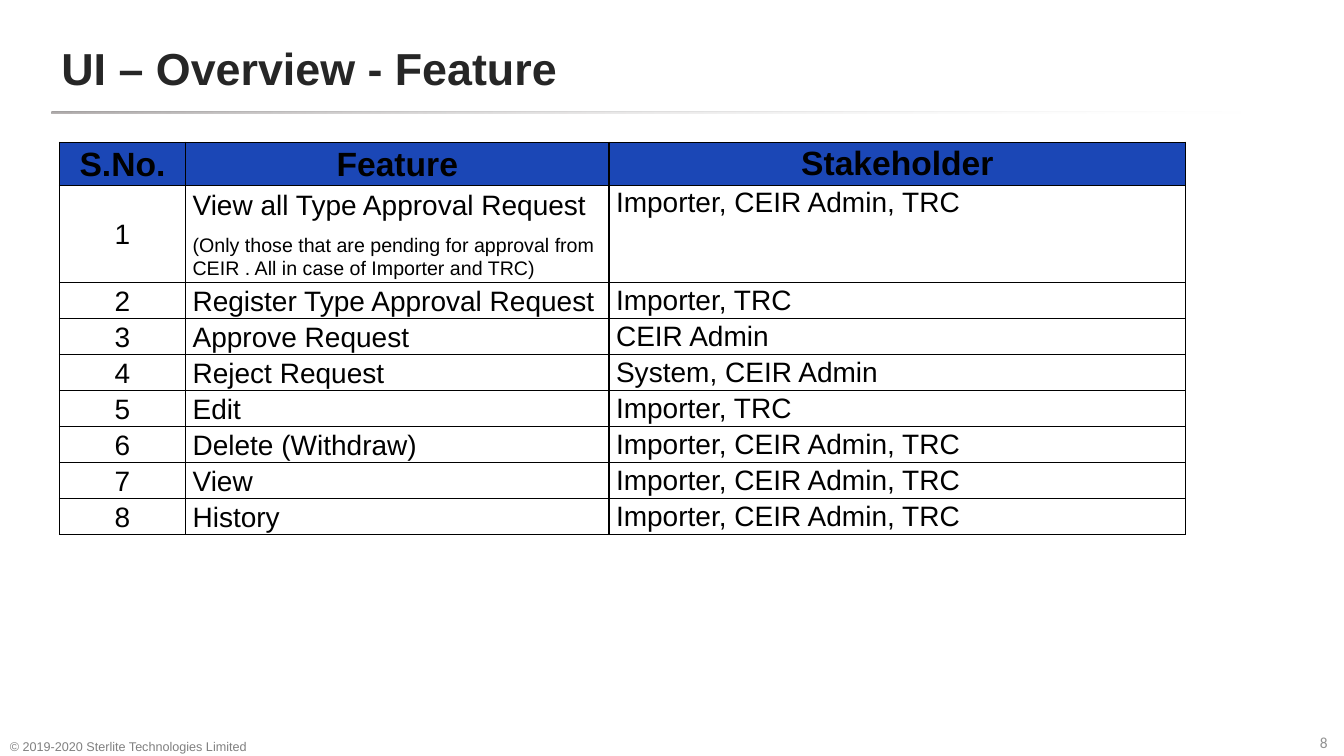
from dataclasses import dataclass

from lxml.etree import SubElement
from pptx import Presentation
from pptx.dml.color import RGBColor
from pptx.enum.shapes import MSO_SHAPE as Shape
from pptx.enum.text import MSO_ANCHOR as Anchor, PP_ALIGN as Align
from pptx.oxml import parse_xml
from pptx.oxml.ns import nsdecls, qn
from pptx.util import Emu, Pt

UNIT = 9144
BLACK = "000000"
BLUE = "1B47B6"
COLS = (125, 420, 572)
HEADS = ("S.No.", "Feature", "Stakeholder")
ALL = "Importer, CEIR Admin, TRC"
NOTE = "(Only those that are pending for approval from CEIR . All in case of Importer and TRC)"


@dataclass
class Label:
    text: str
    box: tuple[int, int, int, int]
    size: int
    color: str
    font: str = "Arial"
    bold: bool = False
    pad: tuple[int, int] = (10, 5)
    anchor: Anchor = Anchor.TOP
    wrap: bool = True


@dataclass
class Task:
    name: str
    users: str
    note: str = ""
    high: int = 33


LABELS = (
    Label("UI – Overview - Feature", (51, 23, 992, 88), 32, "262626",
          bold=True, anchor=Anchor.MIDDLE),
    Label("8", (1304, 722, 27, 25), 11, "929292", font="Calibri",
          pad=(5, 5), wrap=False),
    Label("© 2019-2020 Sterlite Technologies Limited", (0, 722, 303, 31), 9,
          "808080", anchor=Anchor.BOTTOM),
)
TASKS = (
    Task("View all Type Approval Request", ALL, NOTE, 91),
    Task("Register Type Approval Request", "Importer, TRC"),
    Task("Approve Request", "CEIR Admin"),
    Task("Reject Request", "System, CEIR Admin"),
    Task("Edit", "Importer, TRC"),
    Task("Delete (Withdraw)", ALL),
    Task("View", ALL),
    Task("History", ALL),
)


def px(num: int) -> Emu:
    """Turn px into EMU."""
    return Emu(num * UNIT)


def rgb(code: str) -> RGBColor:
    """Turn a hex string into a colour."""
    return RGBColor.from_string(code)


def write(para, text: str, *, size: int, color: str = BLACK, font: str = "Arial",
          bold: bool = False, align: Align = Align.LEFT) -> None:
    """Add formatted text to a paragraph."""
    para.alignment = align
    run = para.add_run()
    run.text = text
    run.font.name = font
    run.font.size = Pt(size)
    run.font.bold = bold
    run.font.color.rgb = rgb(color)


def add_label(slide, label: Label) -> None:
    """Draw one text box."""
    frame = slide.shapes.add_textbox(*map(px, label.box)).text_frame
    frame.word_wrap = label.wrap
    frame.vertical_anchor = label.anchor
    frame.margin_left = frame.margin_right = px(label.pad[0])
    frame.margin_top = frame.margin_bottom = px(label.pad[1])
    write(frame.paragraphs[0], label.text, size=label.size, color=label.color,
          font=label.font, bold=label.bold)


def add_rule(slide) -> None:
    """Draw the fading bar under the title."""
    bar = slide.shapes.add_shape(Shape.ROUNDED_RECTANGLE, *map(px, (51, 111, 1231, 2)))
    bar.adjustments[0] = 0.5
    bar.shadow.inherit = False
    bar.line.fill.background()
    bar.fill.gradient()
    bar.fill.gradient_angle = 0
    start, end = bar.fill.gradient_stops
    start.color.rgb = rgb("AFABAB")
    end.color.rgb = rgb("FFFFFF")
    end.position = 0.96
    clear = bar._element.xpath(".//a:gs[2]/a:srgbClr")[0]
    SubElement(clear, qn("a:alpha"), val="0")


def edge(cell) -> None:
    """Give a cell its four black borders."""
    props = cell._tc.get_or_add_tcPr()
    for side in ("lnL", "lnR", "lnT", "lnB"):
        props.append(parse_xml(
            f'<a:{side} {nsdecls("a")} w="12700"><a:solidFill>'
            f'<a:srgbClr val="{BLACK}"/></a:solidFill></a:{side}>'))


def fill_cell(cell, col: int, texts: list[tuple[str, int]], head: bool = False) -> None:
    """Set the format and the paragraphs of a cell."""
    edge(cell)
    if head:
        cell.fill.solid()
        cell.fill.fore_color.rgb = rgb(BLUE)
    else:
        cell.fill.background()
    cell.margin_left = cell.margin_right = px(7)
    cell.margin_top = cell.margin_bottom = 0
    cell.vertical_anchor = Anchor.TOP if col == 2 else Anchor.MIDDLE
    align = Align.CENTER if head or col == 0 else Align.LEFT
    frame = cell.text_frame
    for num, (text, size) in enumerate(texts):
        para = frame.add_paragraph() if num else frame.paragraphs[0]
        para.line_spacing = 1.07
        para.space_after = Pt(8)
        write(para, text, size=size, bold=head, align=align)


def add_grid(slide) -> None:
    """Draw the feature table."""
    highs = [40] + [task.high for task in TASKS]
    box = (59, 141, sum(COLS), sum(highs))
    table = slide.shapes.add_table(len(highs), len(COLS), *map(px, box)).table
    table.first_row = table.horz_banding = False
    for col, wide in zip(table.columns, COLS):
        col.width = px(wide)
    for row, high in zip(table.rows, highs):
        row.height = px(high)
    for col, text in enumerate(HEADS):
        fill_cell(table.cell(0, col), col, [(text, 24)], head=True)
    for row, task in enumerate(TASKS, 1):
        name = [(task.name, 20)] + ([(task.note, 14)] if task.note else [])
        for col, texts in enumerate(([(str(row), 20)], name, [(task.users, 20)])):
            fill_cell(table.cell(row, col), col, texts)


def main() -> None:
    """Build and save the slide."""
    deck = Presentation()
    deck.slide_width, deck.slide_height = px(1333), px(750)
    slide = deck.slides.add_slide(deck.slide_layouts[6])
    add_rule(slide)
    for label in LABELS:
        add_label(slide, label)
    add_grid(slide)
    deck.save("out.pptx")


if __name__ == "__main__":
    main()
